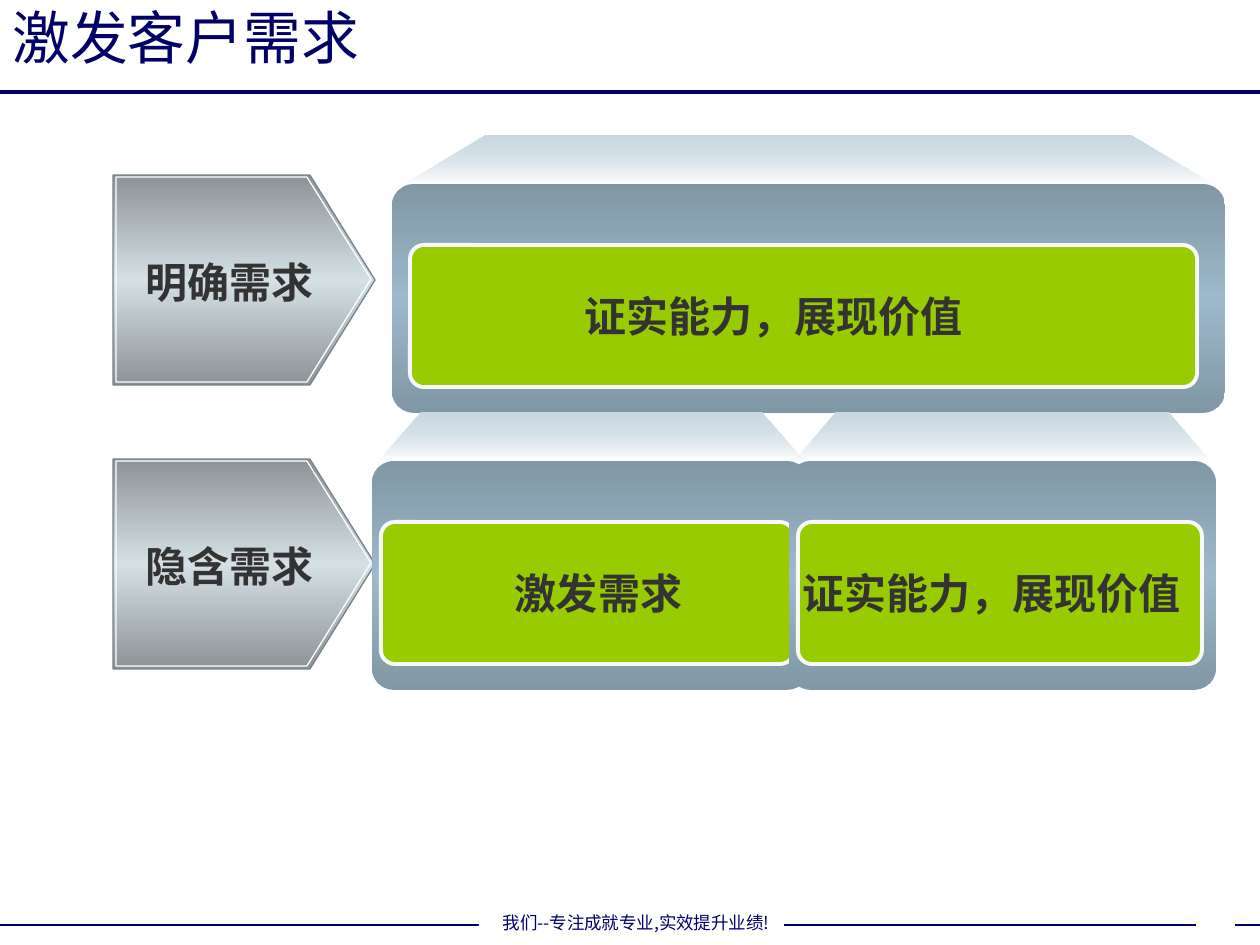
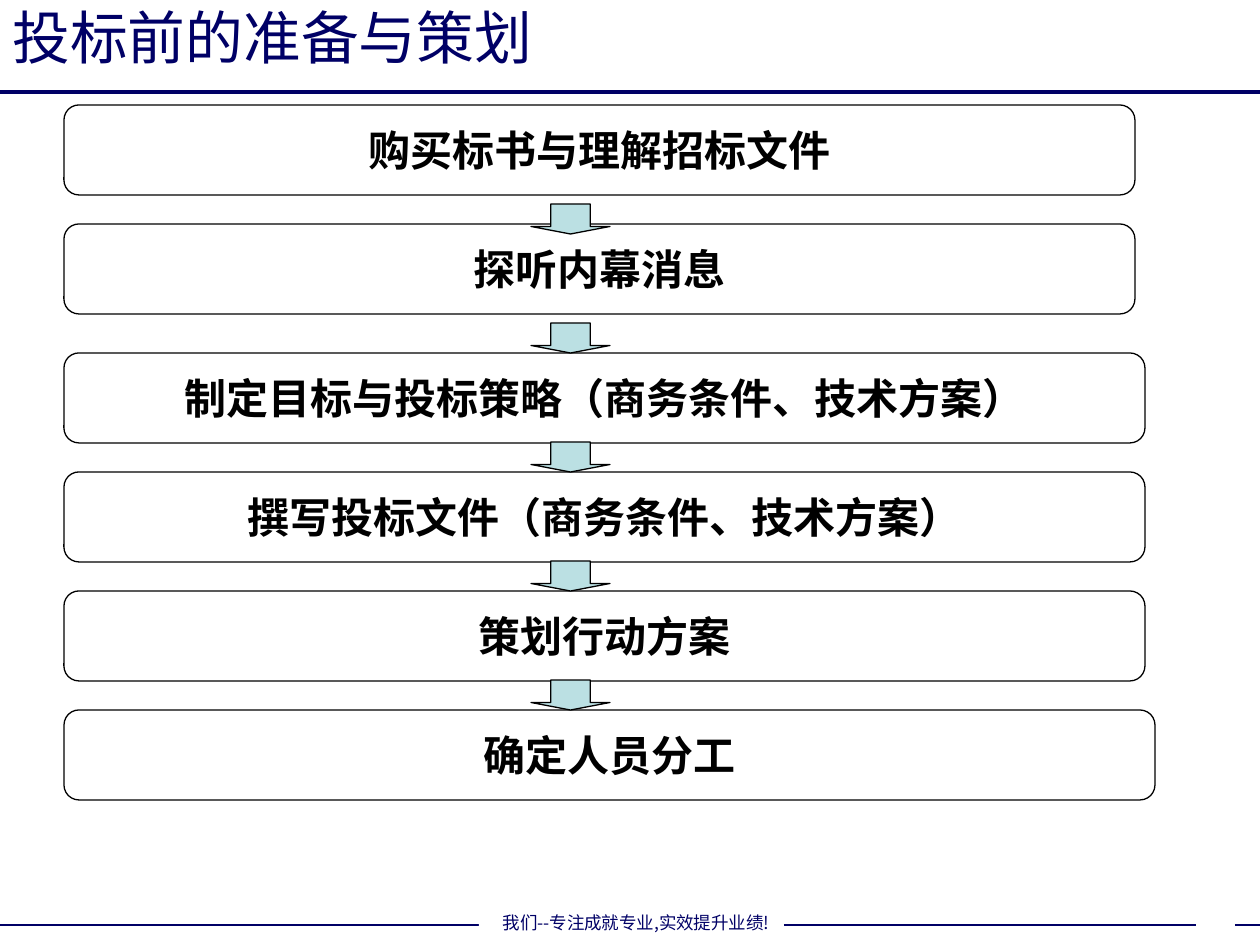
"""Build two slides on customer needs and bid planning."""
from dataclasses import dataclass

from lxml.etree import SubElement
from pptx import Presentation
from pptx.dml.color import RGBColor
from pptx.enum.shapes import MSO_CONNECTOR, MSO_SHAPE
from pptx.enum.text import MSO_ANCHOR, PP_ALIGN
from pptx.oxml import parse_xml
from pptx.oxml.ns import nsdecls, qn
from pptx.util import Emu, Pt

SCALE = 914400 / 126
WIDE, HIGH = 1260, 945
INK = {
    "navy": "000066", "white": "FFFFFF", "black": "000000", "text": "333333",
    "green": "99CC00", "rim": "F8F8F8", "edge": "76858A", "arrow": "BBE0E3",
    "shade": "C0C0C0", "steel": "8C9397", "mist": "D5E0E5", "slate": "8097A5",
    "blue": "9DB9CB", "pale": "C8D7E1",
}
METAL = [(0, "steel", 100), (50, "mist", 100), (100, "steel", 100)]
GLASS = [(0, "slate", 100), (50, "blue", 100), (100, "slate", 100)]
FADE = [(0, "pale", 100), (100, "blue", 0)]
HAN = "Noto Sans CJK SC"
TITLE = {"name": HAN, "size": Pt(33), "bold": False}
FOOT = {"name": HAN, "size": Pt(10), "bold": False}
LABEL = {"name": "Arial", "size": Pt(24), "bold": True}
MID = {"vertical_anchor": MSO_ANCHOR.MIDDLE, "word_wrap": False}


@dataclass
class Rule:
    """A level line with its ends, height and weight."""
    left: int
    right: int
    top: int
    weight: float


@dataclass
class Tag:
    """A pointed label on the left."""
    top: int
    text: str


@dataclass
class Panel:
    """A raised glass panel with a green card."""
    left: int
    top: int
    width: int
    start: int
    span: int
    text: str


@dataclass
class Step:
    """One box of the bid flow."""
    width: int
    text: str


RULES = [Rule(0, WIDE, 92, 2.25), Rule(0, 491, 925, 1),
         Rule(784, 1196, 925, 1), Rule(1235, WIDE, 925, 1)]
TAGS = [Tag(175, "明确需求"), Tag(459, "隐含需求")]
PANELS = [
    Panel(392, 184, 833, 571, 406, "证实能力，展现价值"),
    Panel(372, 461, 437, 501, 194, "激发需求"),
    Panel(789, 461, 427, 789, 406, "证实能力，展现价值"),
]
STEPS = [
    Step(1071, "购买标书与理解招标文件"),
    Step(1071, "探听内幕消息"),
    Step(1081, "制定目标与投标策略（商务条件、技术方案）"),
    Step(1081, "撰写投标文件（商务条件、技术方案）"),
    Step(1081, "策划行动方案"),
    Step(1091, "确定人员分工"),
]


def px(*vals: int) -> list[Emu]:
    """Turn px lengths into EMU."""
    return [Emu(round(val * SCALE)) for val in vals]


def apply(item, vals: dict) -> None:
    """Set each format value on an item."""
    for name, val in vals.items():
        setattr(item, name, val)


def tint(name: str) -> RGBColor:
    """Look up a colour by name."""
    return RGBColor.from_string(INK[name])


def blend(shape, stops: list) -> None:
    """Fill a shape with a downward gradient."""
    marks = "".join(
        f'<a:gs pos="{pos * 1000}"><a:srgbClr val="{INK[name]}">'
        f'<a:alpha val="{alpha * 1000}"/></a:srgbClr></a:gs>'
        for pos, name, alpha in stops)
    shape.fill.background()
    props = shape.element.spPr
    props.replace(props.find(qn("a:noFill")), parse_xml(
        f'<a:gradFill {nsdecls("a")} rotWithShape="1"><a:gsLst>{marks}</a:gsLst>'
        '<a:lin ang="5400000" scaled="0"/></a:gradFill>'))


def paint(shape, fill=None, line=None, weight: float = 0.75):
    """Give a shape its fill and line, and no shadow."""
    shape.shadow.inherit = False
    if isinstance(fill, list):
        blend(shape, fill)
    elif fill:
        shape.fill.solid()
        shape.fill.fore_color.rgb = tint(fill)
    else:
        shape.fill.background()
    if line:
        shape.line.color.rgb = tint(line)
        shape.line.width = Pt(weight)
    else:
        shape.line.fill.background()
    return shape


def preset(slide, kind, box: tuple, adjust: tuple = (), **look):
    """Add a preset shape."""
    shape = slide.shapes.add_shape(kind, *px(*box))
    for idx, val in enumerate(adjust):
        shape.adjustments[idx] = val
    return paint(shape, **look)


def outline(slide, points: list, **look):
    """Add a closed shape through some points."""
    first, *rest = [tuple(px(*point)) for point in points]
    pen = slide.shapes.build_freeform(*first, scale=1.0)
    pen.add_line_segments(rest, close=True)
    return paint(pen.convert_to_shape(), **look)


def write(shape, text: str, font: dict, ink: str, frame: dict,
          align=PP_ALIGN.CENTER):
    """Put one styled line of text in a shape."""
    apply(shape.text_frame, frame)
    para = shape.text_frame.paragraphs[0]
    para.alignment = align
    run = para.add_run()
    run.text = text
    apply(run.font, font)
    run.font.color.rgb = tint(ink)
    SubElement(run.font._element, qn("a:ea"), typeface=HAN)
    return run


def label(slide, box: tuple, text: str) -> None:
    """Add a bold label with a soft text shadow."""
    shape = slide.shapes.add_textbox(*px(*box))
    run = write(shape, text, LABEL, "text", {"word_wrap": False})
    run.font._element.find(qn("a:solidFill")).addnext(parse_xml(
        f'<a:effectLst {nsdecls("a")}><a:outerShdw dist="17961" dir="2700000">'
        f'<a:srgbClr val="{INK["shade"]}"/></a:outerShdw></a:effectLst>'))


def draw_rule(slide, rule: Rule) -> None:
    """Draw one level line."""
    line = slide.shapes.add_connector(
        MSO_CONNECTOR.STRAIGHT, *px(rule.left, rule.top, rule.right, rule.top))
    line.line.color.rgb = tint("navy")
    line.line.width = Pt(rule.weight)
    SubElement(line._element.spPr, qn("a:effectLst"))


def draw_tag(slide, tag: Tag) -> None:
    """Draw a pointed label with its inner rim."""
    def arrow(left: int, neck: int, tip: int, top: int, end: int) -> list:
        """List the corners of a pointed outline."""
        return [(left, top), (neck, top), (tip, (top + end) // 2),
                (neck, end), (left, end)]

    top = tag.top
    outline(slide, arrow(113, 310, 375, top, top + 210), fill=METAL, line="edge")
    outline(slide, arrow(116, 307, 371, top + 2, top + 207), line="white")
    label(slide, (103, top + 75, 253, 63), tag.text)


def draw_panel(slide, panel: Panel) -> None:
    """Draw a panel with its roof, card and label."""
    left, top, width = panel.left, panel.top, panel.width
    inset = width // 64
    start, end = left + inset, left + width - inset
    slope = (end - start) // 10
    outline(slide, [(start, top - 1), (end, top - 1), (end - slope, top - 48),
                    (start + slope, top - 48)], fill=FADE)
    preset(slide, MSO_SHAPE.ROUNDED_RECTANGLE, (left, top, width, 229),
           (0.095,), fill=GLASS)
    preset(slide, MSO_SHAPE.ROUNDED_RECTANGLE,
           (left + width // 46, top + 61, width - width // 18, 142),
           (0.098,), fill="green", line="rim", weight=2.25)
    label(slide, (panel.start, top + 100, panel.span, 63), panel.text)


def draw_flow(slide) -> None:
    """Draw the steps and the arrows between them."""
    pitch = 119
    for idx, step in enumerate(STEPS):
        top = 105 + pitch * idx + (10 if idx > 1 else 0)
        shape = preset(slide, MSO_SHAPE.ROUNDED_RECTANGLE,
                       (64, top, step.width, 90), (0.167,),
                       fill="white", line="black")
        write(shape, step.text, LABEL, "black", MID)
    for idx in range(len(STEPS) - 1):
        preset(slide, MSO_SHAPE.DOWN_ARROW, (531, 204 + pitch * idx, 79, 30),
               (0.5, 0.25), fill="arrow", line="black")


def add_page(deck, title: str, width: int):
    """Add a slide with the shared rules, footer and title."""
    slide = deck.slides.add_slide(deck.slide_layouts[6])
    for rule in RULES[:2]:
        draw_rule(slide, rule)
    foot = preset(slide, MSO_SHAPE.RECTANGLE, (479, 905, 314, 34), fill="white")
    write(foot, "我们--专注成就专业,实效提升业绩!", FOOT, "navy", MID)
    for rule in RULES[2:]:
        draw_rule(slide, rule)
    head = slide.shapes.add_textbox(*px(0, 0, width, 72))
    write(head, title, TITLE, "navy", {**MID, "word_wrap": True}, PP_ALIGN.LEFT)
    return slide


def main() -> None:
    """Build and save the deck."""
    deck = Presentation()
    deck.slide_width, deck.slide_height = px(WIDE, HIGH)
    needs = add_page(deck, "激发客户需求", 1206)
    for tag in TAGS:
        draw_tag(needs, tag)
    for panel in PANELS:
        draw_panel(needs, panel)
    draw_flow(add_page(deck, "投标前的准备与策划", 1126))
    deck.save("out.pptx")


if __name__ == "__main__":
    main()
